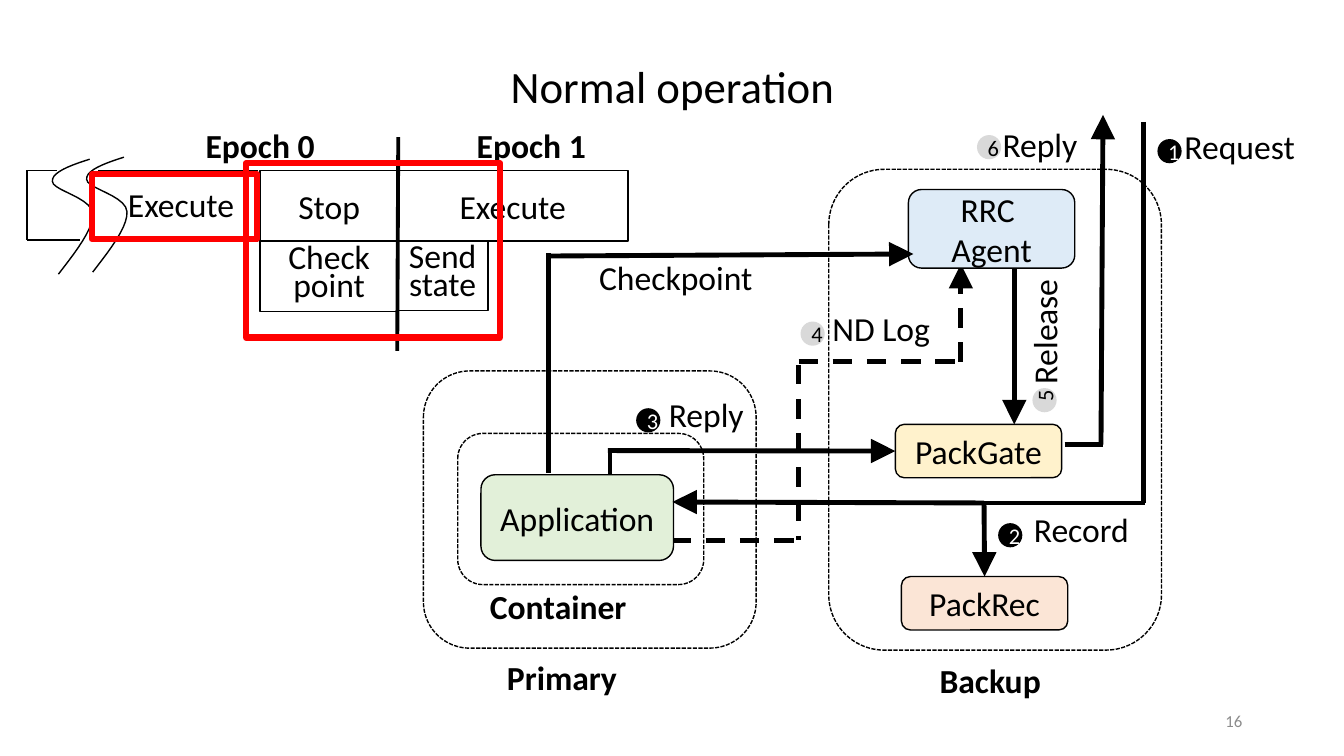
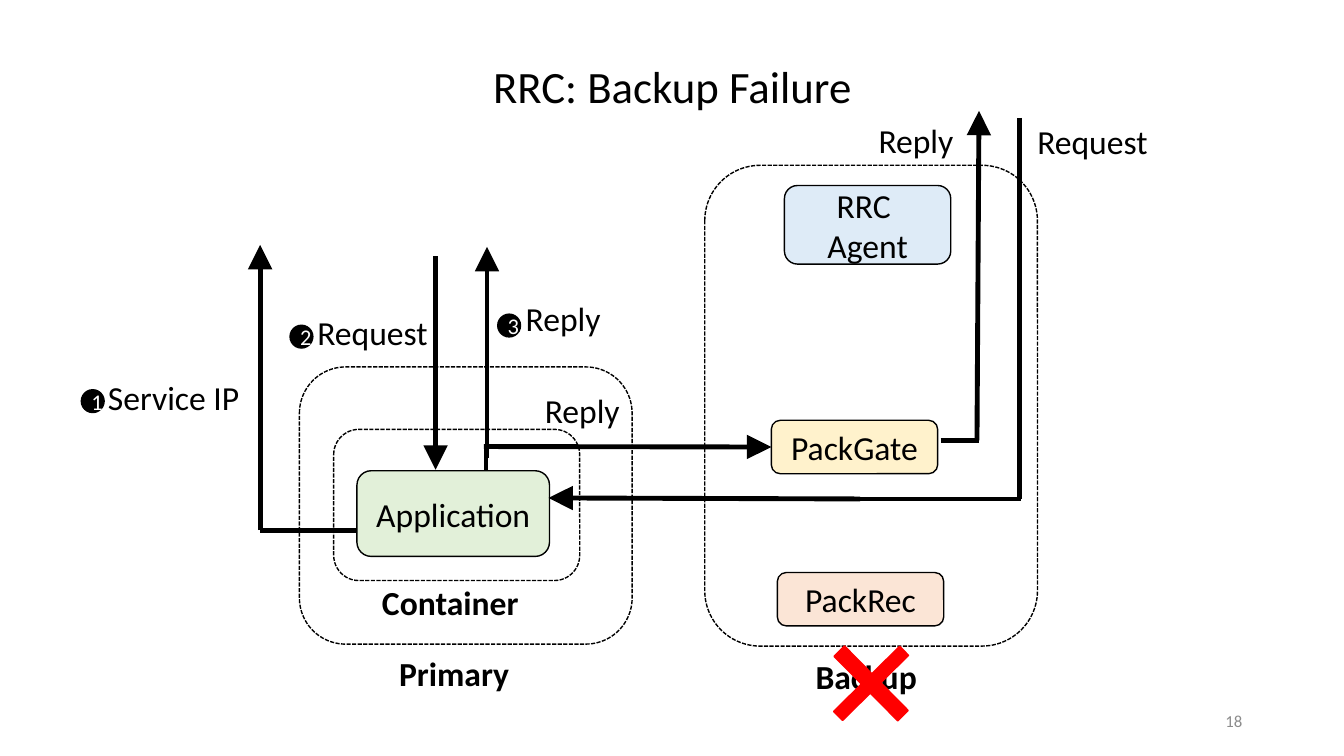
from dataclasses import dataclass

from pptx import Presentation
from pptx.dml.color import RGBColor
from pptx.enum.dml import MSO_LINE
from pptx.enum.shapes import MSO_CONNECTOR, MSO_SHAPE
from pptx.enum.text import MSO_ANCHOR, PP_ALIGN
from pptx.oxml.ns import qn
from pptx.slide import Slide
from pptx.util import Inches, Pt
from lxml.etree import SubElement

FONT = "Calibri"
COLORS = {
    "black": "000000",
    "white": "FFFFFF",
    "grey": "8C8C8C",
    "badge": "D9D9D9",
    "green": "E2F0D9",
    "peach": "FBE5D6",
    "yellow": "FFF2CC",
    "blue": "DEEBF7",
    "red": "FF0000",
}


@dataclass
class Page:
    slide: Slide
    dx: float = 0
    dy: float = 0

    def point(self, x, y):
        return Inches(x + self.dx), Inches(y + self.dy)


def rgb(name):
    return RGBColor.from_string(COLORS[name])


def write(frame, text, size=24, color="black", bold=False,
          align=PP_ALIGN.CENTER, spacing=None):
    frame.word_wrap = True
    para = frame.paragraphs[0]
    para.alignment = align
    if spacing:
        para.line_spacing = spacing
    for index, line in enumerate(text.split("\n")):
        if index:
            para.add_line_break()
        span = para.add_run()
        span.text = line
        span.font.name = FONT
        span.font.size = Pt(size)
        span.font.bold = bold
        span.font.color.rgb = rgb(color)


def add_label(page, text, left, top, width, height=0.35, spacing=Pt(15),
              rotation=0, **style):
    box = page.slide.shapes.add_textbox(
        *page.point(left, top), Inches(width), Inches(height))
    box.rotation = rotation
    write(box.text_frame, text, spacing=spacing, **style)
    return box


def add_heading(page, text, left, top, width, align=PP_ALIGN.LEFT):
    add_label(page, text, left, top, width, 0.5, None, bold=True, align=align)


def add_box(page, kind, left, top, width, height, text="", fill=None,
            line="black", weight=1, dash=None, size=24, color="black",
            spacing=None):
    box = page.slide.shapes.add_shape(
        kind, *page.point(left, top), Inches(width), Inches(height))
    box.shadow.inherit = False
    if fill:
        box.fill.solid()
        box.fill.fore_color.rgb = rgb(fill)
    else:
        box.fill.background()
    if line:
        box.line.color.rgb = rgb(line)
        box.line.width = Pt(weight)
        box.line.dash_style = dash
    else:
        box.line.fill.background()
    if text:
        box.text_frame.vertical_anchor = MSO_ANCHOR.MIDDLE
        write(box.text_frame, text, size, color, spacing=spacing)
    return box


def add_badge(page, number, left, top, done=True, rotation=0):
    badge = add_box(page, MSO_SHAPE.OVAL, left, top, 0.24, 0.24, number,
                    "black" if done else "badge", None, size=16,
                    color="white" if done else "black")
    badge.rotation = rotation


def add_line(page, x1, y1, x2, y2, arrow=False, dash=None, weight=3.5):
    line = page.slide.shapes.add_connector(
        MSO_CONNECTOR.STRAIGHT, *page.point(x1, y1), *page.point(x2, y2))
    line.line.color.rgb = rgb("black")
    line.line.width = Pt(weight)
    line.line.dash_style = dash
    properties = line._element.spPr
    if arrow:
        SubElement(properties.find(qn("a:ln")), qn("a:tailEnd"),
                   type="triangle", w="lg", len="lg")
    SubElement(properties, qn("a:effectLst"))
    return line


def add_curve(page, start, segments, steps=10):
    outline = page.slide.shapes.build_freeform(*page.point(*start))
    points = []
    for first, second, end in segments:
        for step in range(1, steps + 1):
            t = step / steps
            weights = ((1 - t) ** 3, 3 * t * (1 - t) ** 2, 3 * t * t * (1 - t), t ** 3)
            corners = (start, first, second, end)
            points.append(page.point(*(
                sum(w * corner[axis] for w, corner in zip(weights, corners))
                for axis in (0, 1))))
        start = end
    outline.add_line_segments(points, close=False)
    curve = outline.convert_to_shape()
    curve.shadow.inherit = False
    curve.fill.background()
    curve.line.color.rgb = rgb("black")
    curve.line.width = Pt(1)


def add_page(deck, title, number):
    slide = deck.slides.add_slide(deck.slide_layouts[5])
    heading = slide.shapes.title
    heading.left, heading.top = Inches(0.92), Inches(0.16)
    heading.width, heading.height = Inches(11.5), Inches(1.45)
    heading.text_frame.vertical_anchor = MSO_ANCHOR.MIDDLE
    write(heading.text_frame, title, 32, spacing=0.9)
    page = Page(slide)
    footer = add_label(page, number, 9.42, 6.95, 3, 0.4, None,
                       size=12, color="grey", align=PP_ALIGN.RIGHT)
    footer.text_frame.vertical_anchor = MSO_ANCHOR.MIDDLE
    return page


def add_system(page, primary_left, container_left):
    for frame in ((8.22, 1.68, 3.3, 4.77), (4.2, 3.68, 3.3, 2.75),
                  (4.54, 4.3, 2.44, 1.5)):
        add_box(page, MSO_SHAPE.ROUNDED_RECTANGLE, *frame,
                dash=MSO_LINE.SQUARE_DOT)
    parts = {}
    for text, fill, *place in (
        ("Application", "green", 4.77, 4.71, 1.91, 0.85),
        ("PackRec", "peach", 8.94, 5.72, 1.65, 0.53),
        ("PackGate", "yellow", 8.88, 4.21, 1.65, 0.53),
        ("RRC \nAgent", "blue", 9.01, 1.88, 1.65, 0.78),
    ):
        parts[text] = add_box(page, MSO_SHAPE.ROUNDED_RECTANGLE, *place, text, fill)
    for x1, y1, x2, y2, arrow in (
        (10.92, 4.41, 10.94, 1.14, True),
        (10.56, 4.41, 10.94, 4.41, False),
        (11.34, 1.21, 11.34, 4.99, False),
        (9.76, 4.99, 11.36, 4.99, False),
        (9.76, 4.99, 6.67, 4.98, True),
        (6.05, 4.7, 6.05, 4.45, False),
    ):
        add_line(page, x1, y1, x2, y2, arrow)
    reply = add_line(page, 6.03, 4.47, 8.88, 4.47, True)
    reply.end_connect(parts["PackGate"], 1)
    add_heading(page, "Primary", primary_left, 6.47, 1.35)
    add_heading(page, "Backup", 9.22, 6.5, 1.35)
    add_heading(page, "Container", container_left, 5.76, 1.58)
    add_label(page, "Reply", 6.31, 4.05, 1.39)
    add_label(page, "Reply", 9.81, 1.33, 1.01, 0.38, Pt(18))
    return parts


def add_timeline(page):
    for text, left, top, width, spacing in (
        ("Send\nstate", 3.94, 2.38, 0.9, Pt(20)),
        ("Execute", 3.94, 1.69, 2.29, None),
        ("Stop", 2.58, 1.69, 1.37, None),
        ("Check\npoint", 2.58, 2.39, 1.37, Pt(20)),
    ):
        add_box(page, MSO_SHAPE.RECTANGLE, left, top, width, 0.7, text,
                "white", spacing=spacing)
    for shift_x, shift_y in ((0, 0), (0.34, -0.02)):
        add_curve(Page(page.slide, shift_x, shift_y), (0.89, 1.58), (
            ((0.7, 1.64), (0.51, 1.71), (0.52, 1.8)),
            ((0.52, 1.89), (0.91, 1.96), (0.92, 2.12)),
            ((0.93, 2.27), (0.75, 2.5), (0.58, 2.72)),
        ))
    for ends in ((0.97, 1.69, 2.56, 1.69), (1.14, 2.39, 2.56, 2.39),
                 (0.27, 1.69, 0.57, 1.69), (0.27, 1.69, 0.27, 2.38),
                 (0.27, 2.38, 0.79, 2.38)):
        add_line(page, *ends, weight=1)
    add_label(page, "Execute", 1.17, 1.78, 1.3, 0.5, None, align=PP_ALIGN.LEFT)
    add_line(page, 3.95, 1.36, 3.94, 3.48, weight=2.75)
    add_heading(page, "Epoch 1", 4.33, 1.19, 1.88, PP_ALIGN.CENTER)
    add_heading(page, "Epoch 0", 1.74, 1.19, 1.68, PP_ALIGN.CENTER)
    for highlight in ((0.91, 1.73, 1.64, 0.64), (2.44, 1.62, 2.52, 1.73)):
        add_box(page, MSO_SHAPE.RECTANGLE, *highlight, line="red", weight=4.5)


def add_normal_operation(deck):
    page = add_page(deck, "Normal operation", "16")
    for x1, y1, x2, y2, arrow in (
        (7.92, 3.59, 9.53, 3.59, False),
        (9.53, 3.59, 9.53, 2.62, True),
        (7.92, 3.62, 7.92, 5.36, False),
        (6.66, 5.36, 7.9, 5.36, False),
    ):
        add_line(page, x1, y1, x2, y2, arrow, MSO_LINE.DASH)
    parts = add_system(page, 4.93, 4.76)
    add_line(page, 5.44, 4.69, 5.44, 2.51)
    add_line(page, 5.44, 2.54, 9.06, 2.52, True)
    add_line(page, 10.06, 2.66, 10.06, 4.21, True)
    record = add_line(page, 9.76, 5, 9.76, 5.72, True)
    record.end_connect(parts["PackRec"], 0)
    add_label(page, "Release", 9.73, 3.04, 1.25, 0.5, None, 270)
    for text, left, top, width in (
        (" Checkpoint", 5.71, 2.69, 1.91),
        ("Request", 11.6, 1.39, 1.39),
        ("ND Log", 7.6, 3.2, 2.28),
        ("Record", 9.85, 5.19, 1.75),
    ):
        add_label(page, text, left, top, width)
    for number, left, top, done, rotation in (
        ("1", 11.48, 1.38, True, 0),
        ("2", 9.9, 5.19, True, 0),
        ("3", 6.31, 4.05, True, 0),
        ("4", 7.94, 3.19, False, 0),
        ("5", 10.24, 3.85, False, 270),
        ("6", 9.69, 1.34, False, 0),
    ):
        add_badge(page, number, left, top, done, rotation)
    add_timeline(page)


def add_backup_failure(deck):
    page = add_page(deck, "RRC: Backup Failure", "18")
    add_system(Page(page.slide, -1.23, -0.04), 5.09, 4.92)
    cross = add_box(page, MSO_SHAPE.CROSS, 8.19, 6.32, 0.9, 0.92,
                    fill="red", line="red")
    cross.adjustments[0] = 0.43
    cross.rotation = 45.4
    for x1, y1, x2, y2, arrow in (
        (2.58, 5.26, 2.58, 2.43, True),
        (2.58, 5.26, 3.54, 5.26, False),
        (4.32, 2.54, 4.32, 4.66, True),
        (4.83, 4.54, 4.83, 2.45, True),
    ):
        add_line(page, x1, y1, x2, y2, arrow)
    for text, left, top, width in (
        ("Request", 10.14, 1.34, 1.39),
        (" Service IP", 0.88, 3.88, 1.61),
        ("Request", 3, 3.24, 1.39),
        ("Reply", 4.89, 3.1, 1.39),
    ):
        add_label(page, text, left, top, width)
    for number, left, top in (("1", 0.8, 3.86), ("2", 2.87, 3.22), ("3", 4.93, 3.11)):
        add_badge(page, number, left, top)


def main():
    deck = Presentation()
    deck.slide_width, deck.slide_height = Inches(13.33), Inches(7.5)
    add_normal_operation(deck)
    add_backup_failure(deck)
    deck.save("out.pptx")


if __name__ == "__main__":
    main()
